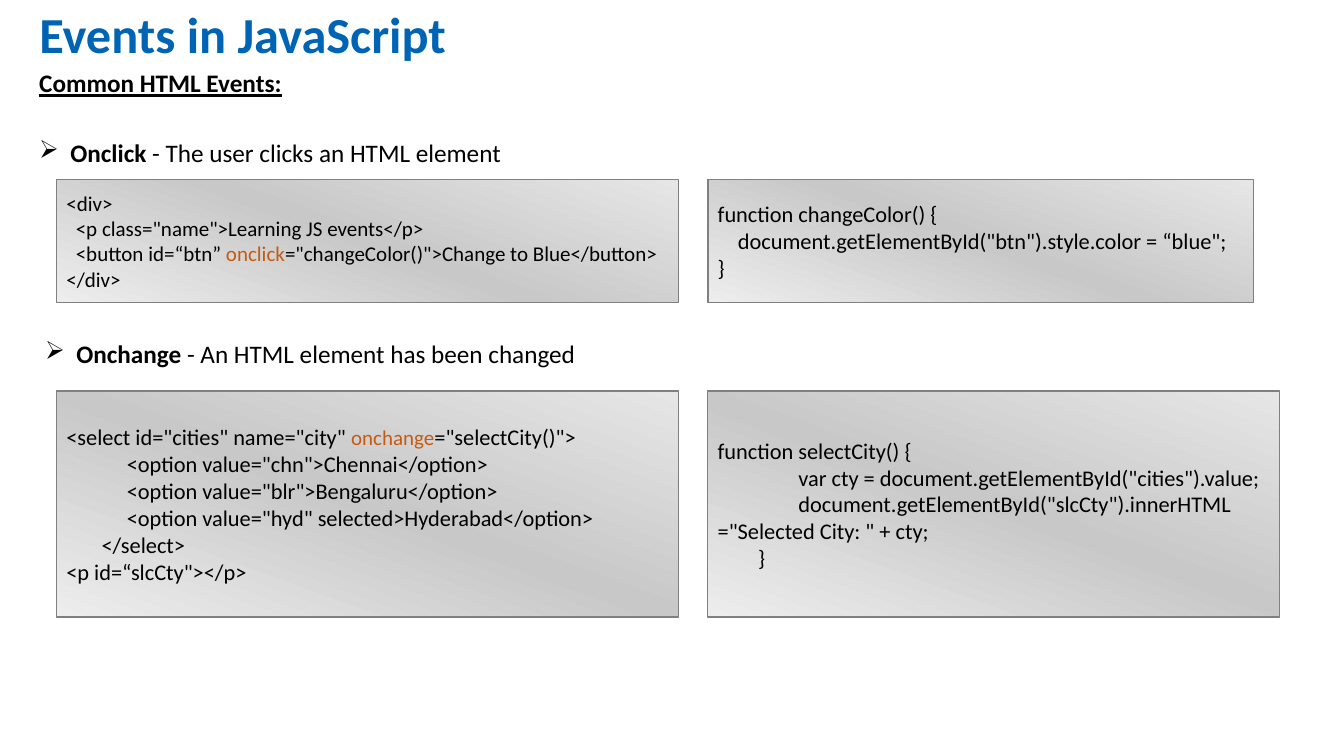
from lxml.etree import SubElement
from pptx import Presentation
from pptx.dml.color import RGBColor
from pptx.enum.shapes import MSO_SHAPE
from pptx.enum.text import MSO_ANCHOR, PP_ALIGN
from pptx.oxml.ns import qn
from pptx.util import Emu, Pt

PX = 9144
FONT = "Calibri"
COLORS = {
    "title": "0064B5",
    "text": "000000",
    "event": "C55A11",
    "border": "808080",
    "white": "FFFFFF",
}
PANEL_STOPS = {0: "E7E6E6", 50: "C8C8C8", 100: "EDEDED"}
LEFT_COLUMN, RIGHT_COLUMN = 56, 702

CLICK_HTML = """<div>
  <p class="name">Learning JS events</p>
  <button id=“btn” |onclick|="changeColor()">Change to Blue</button>
</div>"""
CLICK_SCRIPT = """function changeColor() {
    document.getElementById("btn").style.color = “blue";
}"""
CHANGE_HTML = """<select id="cities" name="city" |onchange|="selectCity()">
            <option value="chn">Chennai</option>
            <option value="blr">Bengaluru</option>
            <option value="hyd" selected>Hyderabad</option>
       </select>
<p id=“slcCty"></p>"""
CHANGE_SCRIPT = """function selectCity() {
                var cty = document.getElementById("cities").value;
                document.getElementById("slcCty").innerHTML ="Selected City: " + cty;
        }"""


def px(*lengths):
    """Turn whole pixels into EMU."""
    return [Emu(length * PX) for length in lengths]


def color(name):
    """Look up a named colour."""
    return RGBColor.from_string(COLORS[name])


def set_font(font, size, color_name="text", bold=None):
    """Give a font its face, size, colour and weight."""
    font.name = FONT
    font.size = Pt(size)
    font.color.rgb = color(color_name)
    font.bold = bold


def add_title(slide, box, text):
    """Place and format the title placeholder."""
    title = slide.shapes.title
    title.left, title.top, title.width, title.height = px(*box)
    frame = title.text_frame
    frame.text = text
    frame.vertical_anchor = MSO_ANCHOR.MIDDLE
    paragraph = frame.paragraphs[0]
    paragraph.alignment = PP_ALIGN.LEFT
    paragraph.line_spacing = 0.9
    paragraph.space_before = Pt(0)
    set_font(paragraph.font, 36, "title", True)


def add_text_frame(slide, box):
    """Add a wrapping text box and return its frame."""
    frame = slide.shapes.add_textbox(*px(*box)).text_frame
    frame.word_wrap = True
    return frame


def add_heading(slide, box, text):
    """Add the underlined section heading."""
    paragraph = add_text_frame(slide, box).paragraphs[0]
    paragraph.text = text
    set_font(paragraph.font, 18, bold=True)
    paragraph.font.underline = True


def add_event(slide, box, name, meaning):
    """Add an arrow bullet with a bold event name and its meaning."""
    paragraph = add_text_frame(slide, box).paragraphs[0]
    properties = paragraph._p.get_or_add_pPr()
    indent = 31 * PX
    properties.set("marL", str(indent))
    properties.set("indent", str(-indent))
    SubElement(properties, qn("a:buChar"), char="➢")
    set_font(paragraph.font, 18)
    event = paragraph.add_run()
    event.text = name
    event.font.bold = True
    paragraph.add_run().text = f" - {meaning}"


def fill_panel(shape):
    """Fill a panel with the slanted grey gradient."""
    shape.fill.gradient()
    shape.fill.gradient_angle = 250
    stops = shape._element.spPr.find(qn("a:gradFill")).find(qn("a:gsLst"))
    stops.clear()
    for percent, value in PANEL_STOPS.items():
        stop = SubElement(stops, qn("a:gs"), pos=str(percent * 1000))
        SubElement(stop, qn("a:srgbClr"), val=value)


def add_code_panel(slide, box, code, size=16):
    """Add a code panel; parts between bars are highlighted event names."""
    shape = slide.shapes.add_shape(MSO_SHAPE.RECTANGLE, *px(*box))
    shape.shadow.inherit = False
    fill_panel(shape)
    shape.line.color.rgb = color("border")
    shape.line.width = Pt(1)
    frame = shape.text_frame
    frame.word_wrap = True
    frame.vertical_anchor = MSO_ANCHOR.MIDDLE
    for index, line in enumerate(code.split("\n")):
        paragraph = frame.add_paragraph() if index else frame.paragraphs[0]
        paragraph.alignment = PP_ALIGN.LEFT
        set_font(paragraph.font, size)
        for position, part in enumerate(line.split("|")):
            run = paragraph.add_run()
            run.text = part
            if position % 2:
                set_font(run.font, 15, "event")


def build_events_slide(presentation):
    """Build the slide on common HTML events."""
    slide = presentation.slides.add_slide(presentation.slide_layouts[5])
    slide.background.fill.solid()
    slide.background.fill.fore_color.rgb = color("white")
    add_title(slide, (29, 2, 1071, 69), "Events in JavaScript")
    add_heading(slide, (29, 62, 1102, 40), "Common HTML Events:")
    add_event(slide, (29, 131, 1102, 40), "Onclick", "The user clicks an HTML element")
    add_code_panel(slide, (LEFT_COLUMN, 178, 617, 122), CLICK_HTML, 15)
    add_code_panel(slide, (RIGHT_COLUMN, 178, 541, 122), CLICK_SCRIPT)
    add_event(slide, (35, 331, 667, 40), "Onchange", "An HTML element has been changed")
    add_code_panel(slide, (LEFT_COLUMN, 388, 617, 224), CHANGE_HTML)
    add_code_panel(slide, (RIGHT_COLUMN, 388, 567, 224), CHANGE_SCRIPT)


def main():
    """Create and save the presentation."""
    presentation = Presentation()
    presentation.slide_width, presentation.slide_height = px(1333, 750)
    build_events_slide(presentation)
    presentation.save("out.pptx")


if __name__ == "__main__":
    main()
